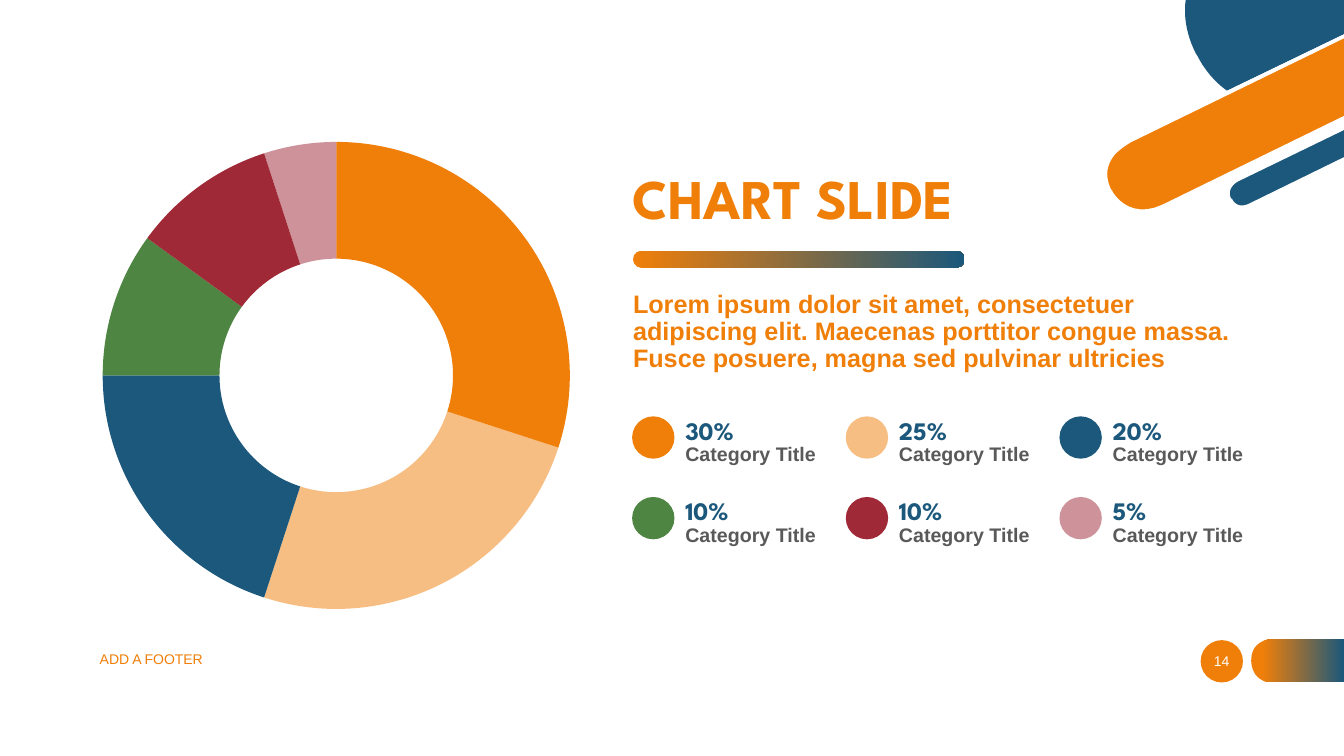
from dataclasses import dataclass

from lxml.etree import SubElement
from pptx import Presentation
from pptx.chart.data import CategoryChartData
from pptx.dml.color import RGBColor
from pptx.enum.chart import XL_CHART_TYPE as ChartKind
from pptx.enum.shapes import MSO_SHAPE as Preset
from pptx.enum.text import MSO_ANCHOR as Anchor, MSO_AUTO_SIZE as AutoSize, PP_ALIGN as Align
from pptx.oxml import parse_xml
from pptx.oxml.ns import nsdecls, qn
from pptx.util import Inches, Pt

TITLE = "CHART SLIDE"
BODY = ("Lorem ipsum dolor sit amet, consectetuer adipiscing elit. "
        "Maecenas porttitor congue massa. Fusce posuere, magna sed pulvinar ultricies")
FOOTER = "ADD A FOOTER"
PAGE_NUMBER = "14"
CAPTION = "Category Title"
CHART_CATEGORIES = ["1", "2", "3", "4", "5", "6"]
SHARES = [
    (30, "orange", 100), (25, "orange", 50), (20, "blue", 100),
    (10, "green", 100), (10, "red", 100), (5, "red", 50),
]


@dataclass(frozen=True)
class Theme:
    orange: str = "F07F09"
    blue: str = "1B587C"
    green: str = "4E8542"
    red: str = "9F2936"
    white: str = "FFFFFF"
    grey: str = "595959"
    display: str = "League Spartan"
    text: str = "Arial"
    title_size: int = 40
    body_size: int = 18
    caption_size: int = 14
    small_size: int = 10

    def rgb(self, name):
        return RGBColor.from_string(getattr(self, name))


THEME = Theme()
SLIDE_SIZE = Inches(13.33), Inches(7.5)

# Frames are left, top, width and height in percent of the slide.
FRAMES = {
    "title": (46.28, 21.47, 36.08, 9.87),
    "rule": (47.1, 33.2, 24.68, 2.2),
    "body": (46.35, 37.87, 46.2, 12.13),
    "chart": (6.53, 15.87, 36.98, 66.93),
    "footer": (6.68, 84.53, 33.75, 5.33),
    "badge": (89.33, 84.67, 3.15, 5.6),
    "number": (88.65, 84.8, 4.5, 5.33),
}
LEGEND_COLUMNS = 3
LEGEND_LEFT, LEGEND_TOP = 47.03, 55.07
LEGEND_PITCH = 15.9, 10.67
DOT_SIZE = 3.15, 5.6
LABEL_SIZE = 13.13, 5.33
LABEL_INDENT, VALUE_RISE, CAPTION_DROP = 3.22, -0.8, 3.06

# Outlines are in inches: a pair is a corner, six numbers are a Bezier curve.
EDGE = 13.33
TAB = [(12.62, 6.77), (EDGE, 6.77), (EDGE, 6.34), (12.62, 6.34),
       (12.62, 6.34, 12.41, 6.34, 12.41, 6.55), (12.41, 6.56),
       (12.41, 6.56, 12.41, 6.77, 12.62, 6.77)]
CORNER = [
    ("orange", [(11.21, 1.39), (11.21, 1.39, 10.85, 1.57, 11.01, 1.89), (11.01, 1.9),
                (11.01, 1.9, 11.17, 2.22, 11.54, 2.04), (EDGE, 1.17), (EDGE, 0.36)]),
    ("blue", [(11.88, 0.56), (11.88, 0.56, 11.97, 0.76, 12.17, 0.9), (EDGE, 0.34),
              (EDGE, 0), (11.76, 0), (11.74, 0.15, 11.76, 0.33, 11.86, 0.53)]),
    ("blue", [(EDGE, 1.26), (12.27, 1.78), (12.27, 1.78, 12.13, 1.85, 12.2, 1.97),
              (12.2, 1.98), (12.2, 1.98, 12.26, 2.11, 12.4, 2.04), (EDGE, 1.58)]),
    ("white", [(12.39, 2.02), (12.27, 2.08, 12.22, 1.98, 12.22, 1.97), (12.21, 1.97),
               (12.16, 1.86, 12.28, 1.8, 12.28, 1.8), (EDGE, 1.29), (EDGE, 1.24),
               (12.26, 1.76), (12.26, 1.76, 12.19, 1.8, 12.17, 1.87),
               (12.15, 1.91, 12.16, 1.95, 12.18, 1.99),
               (12.2, 2.03, 12.25, 2.08, 12.32, 2.08),
               (12.35, 2.08, 12.38, 2.08, 12.41, 2.06), (EDGE, 1.61), (EDGE, 1.56)]),
    ("white", [(11.53, 2.03), (11.19, 2.19, 11.03, 1.9, 11.03, 1.89), (11.02, 1.88),
               (10.96, 1.75, 10.97, 1.64, 11.06, 1.53),
               (11.13, 1.46, 11.22, 1.41, 11.22, 1.41), (EDGE, 0.38), (EDGE, 0.34),
               (11.2, 1.37), (11.19, 1.38, 11.02, 1.46, 10.96, 1.63),
               (10.93, 1.71, 10.94, 1.8, 10.99, 1.9), (10.99, 1.91),
               (10.99, 1.91, 11.1, 2.12, 11.33, 2.12),
               (11.39, 2.12, 11.46, 2.1, 11.54, 2.06), (EDGE, 1.19), (EDGE, 1.15)]),
]
CURVE_STEPS = 12


def place(frame):
    return [round(part / 100 * SLIDE_SIZE[i % 2]) for i, part in enumerate(frame)]


def blend(fill, start=0):
    fill.gradient()
    fill.gradient_angle = 0
    for stop, name, position in zip(fill.gradient_stops, ("orange", "blue"), (start, 1)):
        stop.color.rgb = THEME.rgb(name)
        stop.position = position


def paint(target, name, opacity=100):
    target.fill.solid()
    target.fill.fore_color.rgb = THEME.rgb(name)
    if opacity < 100:
        color = target.fill._xPr.find(qn("a:solidFill"))[0]
        SubElement(color, qn("a:alpha")).set("val", str(opacity * 1000))


def bare(shape):
    shape.shadow.inherit = False
    shape.line.fill.background()
    return shape


def add_preset(page, kind, frame):
    return bare(page.shapes.add_shape(kind, *place(frame)))


def flatten(outline):
    points = []
    for node in outline:
        if len(node) == 2:
            points.append(node)
            continue
        start, controls = points[-1], (node[:2], node[2:4], node[4:])
        for step in range(1, CURVE_STEPS + 1):
            t = step / CURVE_STEPS
            weights = ((1 - t) ** 3, 3 * t * (1 - t) ** 2, 3 * t * t * (1 - t), t ** 3)
            points.append(tuple(sum(w * p[axis] for w, p in zip(weights, (start, *controls)))
                                for axis in (0, 1)))
    return [(Inches(x), Inches(y)) for x, y in points]


def add_outline(page, outline):
    first, *rest = flatten(outline)
    builder = page.shapes.build_freeform(*first)
    builder.add_line_segments(rest, close=True)
    return bare(builder.convert_to_shape())


def write(box, frame, words, size, color=None, font=THEME.text, bold=False,
          anchor=Anchor.TOP, align=Align.LEFT, spacing=None, before=0):
    box.left, box.top, box.width, box.height = place(frame)
    text = box.text_frame
    text.word_wrap, text.auto_size, text.vertical_anchor = True, AutoSize.NONE, anchor
    para = text.paragraphs[0]
    para.alignment, para.line_spacing, para.space_before = align, spacing, Pt(before)
    span = para.add_run()
    span.text = words
    span.font.name, span.font.size, span.font.bold = font, Pt(size), bold
    if color:
        span.font.color.rgb = THEME.rgb(color)
    return para


def add_text(page, frame, *args, **style):
    return write(page.shapes.add_textbox(*place(frame)), frame, *args, **style)


def add_doughnut(page):
    data = CategoryChartData()
    data.categories = CHART_CATEGORIES
    data.add_series("Series 1", [value for value, _, _ in SHARES])
    chart = page.shapes.add_chart(ChartKind.DOUGHNUT, *place(FRAMES["chart"]), data).chart
    chart.has_legend = chart.has_title = False
    chart.font.name, chart.font.size = THEME.text, Pt(THEME.small_size)
    plot = chart.plots[0]
    plot.vary_by_categories = True
    for index, (_, color, opacity) in enumerate(SHARES):
        look = plot.series[0].points[index].format
        paint(look, color, opacity)
        look.line.fill.background()
    area = chart._chartSpace.chart.plotArea
    for old in area.findall(qn("c:layout")):
        area.remove(old)
    area.insert(0, parse_xml(
        f'<c:layout {nsdecls("c")}><c:manualLayout><c:layoutTarget val="inner"/>'
        '<c:xMode val="edge"/><c:yMode val="edge"/><c:x val="0.03"/><c:y val="0.04"/>'
        '<c:w val="0.94"/><c:h val="0.93"/></c:manualLayout></c:layout>'))
    area.find(".//" + qn("c:holeSize")).set("val", "52")


def add_legend(page):
    for index, (value, color, opacity) in enumerate(SHARES):
        row, column = divmod(index, LEGEND_COLUMNS)
        left = LEGEND_LEFT + column * LEGEND_PITCH[0]
        top = LEGEND_TOP + row * LEGEND_PITCH[1]
        paint(add_preset(page, Preset.OVAL, (left, top, *DOT_SIZE)), color, opacity)
        label = left + LABEL_INDENT
        add_text(page, (label, top + VALUE_RISE, *LABEL_SIZE), f"{value}%", THEME.body_size,
                 "blue", THEME.display, True, Anchor.BOTTOM, spacing=0.9, before=10)
        add_text(page, (label, top + CAPTION_DROP, *LABEL_SIZE), CAPTION, THEME.caption_size,
                 "grey", bold=True, spacing=0.9, before=6)


def main():
    deck = Presentation()
    deck.slide_width, deck.slide_height = SLIDE_SIZE
    page = deck.slides.add_slide(deck.slide_layouts[1])
    for color, outline in CORNER:
        paint(add_outline(page, outline), color)
    blend(add_outline(page, TAB).fill, 0.12)
    rule = add_preset(page, Preset.ROUNDED_RECTANGLE, FRAMES["rule"])
    rule.adjustments[0] = 0.5
    blend(rule.fill)
    heading = write(page.shapes.title, FRAMES["title"], TITLE, THEME.title_size,
                    font=THEME.display, bold=True, anchor=Anchor.BOTTOM, spacing=0.9)
    blend(heading.runs[0].font.fill)
    intro = write(page.placeholders[1], FRAMES["body"], BODY, THEME.body_size, "orange",
                  bold=True, spacing=0.9, before=10)
    layout = intro._p.get_or_add_pPr()
    layout.set("marL", "0")
    layout.set("indent", "0")
    SubElement(layout, qn("a:buNone"))
    add_doughnut(page)
    add_legend(page)
    add_text(page, FRAMES["footer"], FOOTER, THEME.small_size, "orange", anchor=Anchor.MIDDLE)
    paint(add_preset(page, Preset.OVAL, FRAMES["badge"]), "orange")
    add_text(page, FRAMES["number"], PAGE_NUMBER, THEME.small_size, "white",
             anchor=Anchor.MIDDLE, align=Align.CENTER)
    deck.save("out.pptx")


if __name__ == "__main__":
    main()
